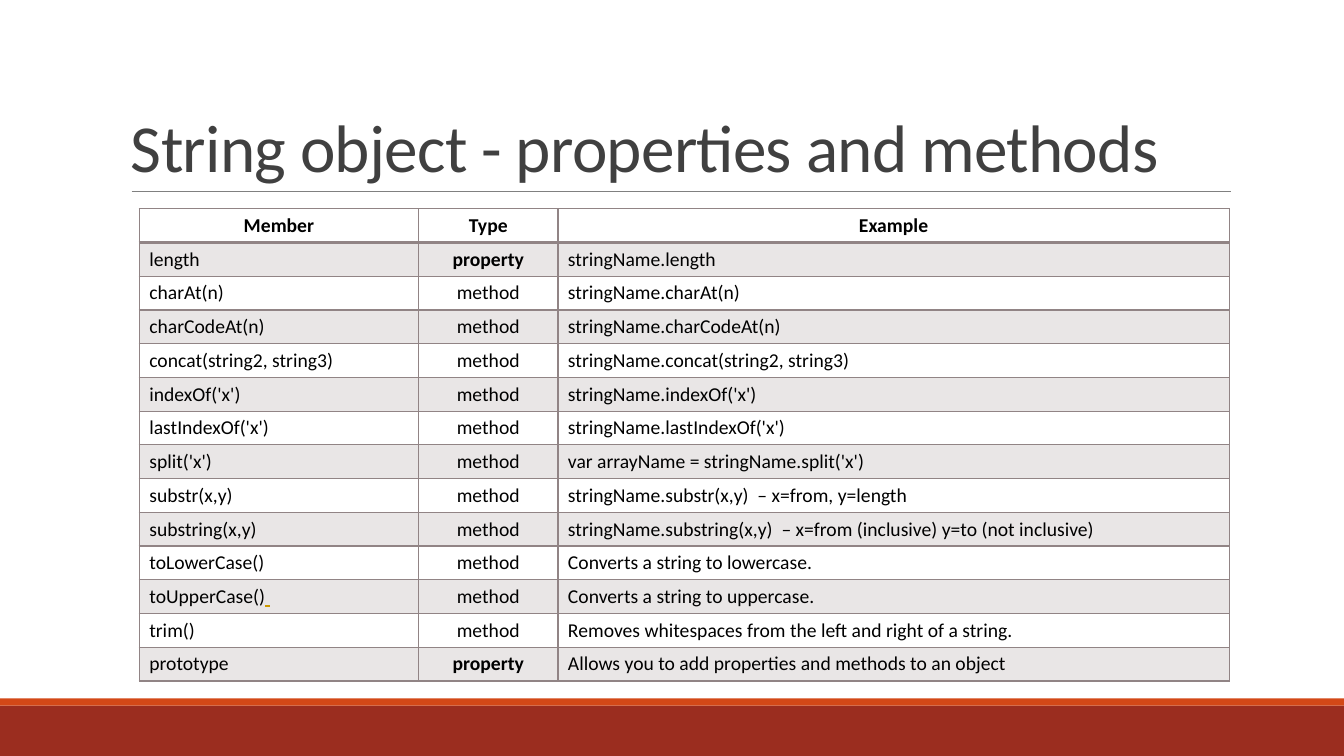
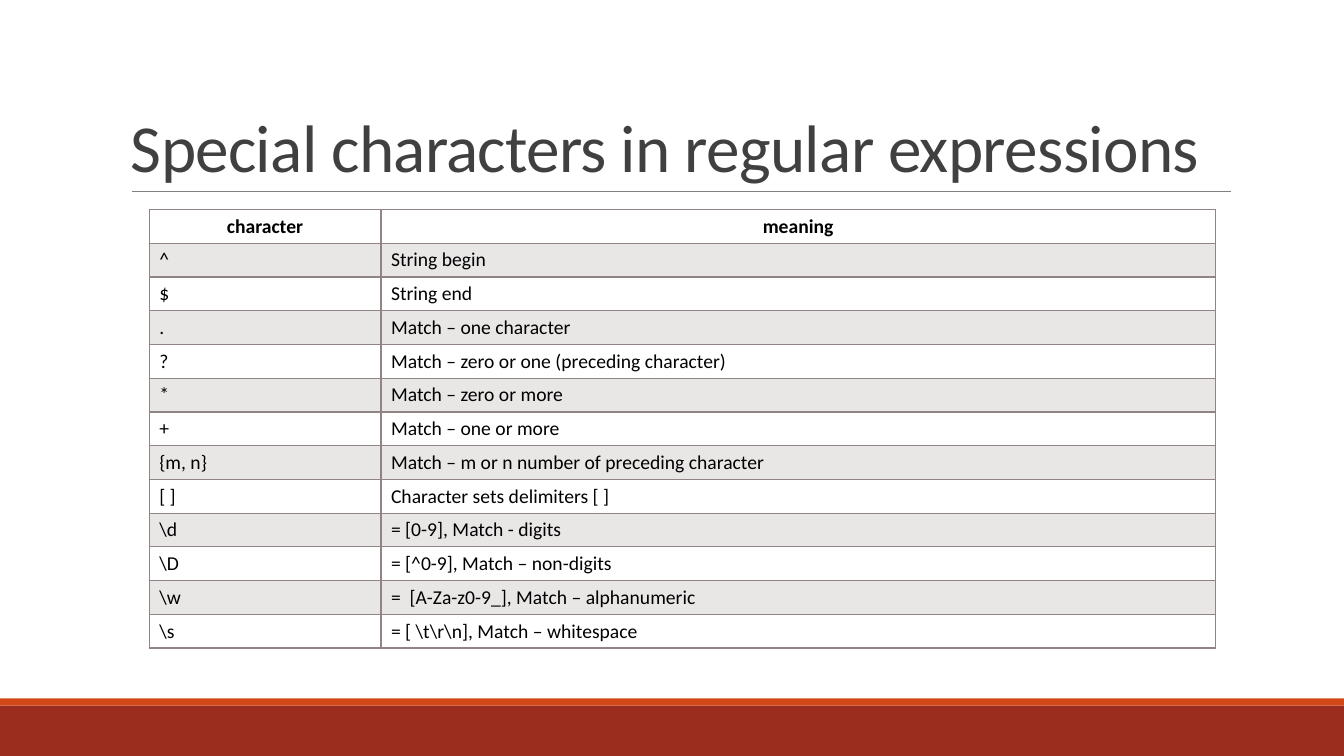
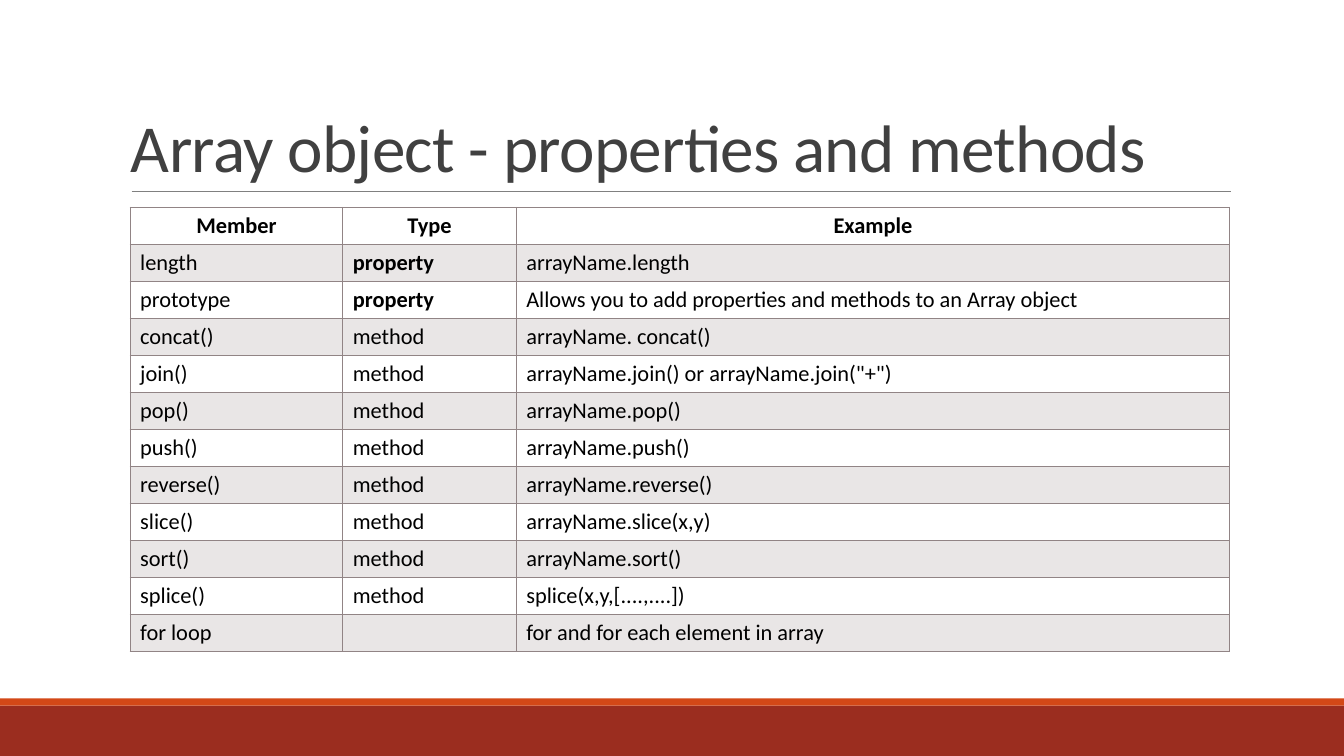
"""Builds three reference-table slides on JavaScript strings, regular expressions and arrays."""

from dataclasses import dataclass

from lxml import etree
from pptx import Presentation
from pptx.dml.color import RGBColor
from pptx.enum.shapes import MSO_CONNECTOR, MSO_SHAPE
from pptx.enum.text import MSO_ANCHOR, PP_ALIGN
from pptx.oxml.ns import qn
from pptx.slide import Slide
from pptx.table import Table, _Cell
from pptx.text.text import _Paragraph, _Run
from pptx.util import Cm, Pt


@dataclass(frozen=True)
class Theme:
    """Colours, font and type sizes shared by the slides."""

    font: str = "Calibri"
    title: str = "404040"
    text: str = "000000"
    accent: str = "CC9900"
    rule: str = "808080"
    grid: str = "918485"
    footer: str = "9B2D1F"
    footer_edge: str = "D34817"
    stripe_alpha: int = 20000
    title_size: int = 48
    cell_size: int = 14
    large_cell_size: int = 16


@dataclass(frozen=True)
class Band:
    """A full-width bar, in centimetres."""

    top: float
    height: float
    color: str


@dataclass(frozen=True)
class TableSlide:
    """A titled slide with one table, in centimetres and points."""

    title: str
    left: float
    top: float
    columns: tuple[float, ...]
    row_height: float
    rows: tuple[tuple[str, ...], ...]
    size: int
    centered_column: int | None = None
    header_rule: float = 1


THEME = Theme()
WIDTH, HEIGHT = 33.87, 19.05
BANDS = (Band(17.78, 1.27, THEME.footer), Band(17.6, 0.18, THEME.footer_edge))

STRING_SLIDE = TableSlide(
    "String object - properties and methods", 3.51, 5.26, (7.04, 3.51, 16.92), 0.85,
    (
        ("Member", "Type", "Example"),
        ("length", "property", "stringName.length"),
        ("charAt(n)", "method", "stringName.charAt(n)"),
        ("charCodeAt(n)", "method", "stringName.charCodeAt(n)"),
        ("concat(string2, string3)", "method", "stringName.concat(string2, string3)"),
        ("indexOf('x')", "method", "stringName.indexOf('x')"),
        ("lastIndexOf('x')", "method", "stringName.lastIndexOf('x')"),
        ("split('x')", "method", "var arrayName = stringName.split('x')"),
        ("substr(x,y)", "method", "stringName.substr(x,y)  – x=from, y=length"),
        ("substring(x,y)", "method",
         "stringName.substring(x,y)  – x=from (inclusive) y=to (not inclusive)"),
        ("toLowerCase()", "method", "Converts a string to lowercase."),
        ("toUpperCase()", "method", "Converts a string to uppercase."),
        ("trim()", "method", "Removes whitespaces from the left and right of a string."),
        ("prototype", "property", "Allows you to add properties and methods to an object"),
    ),
    THEME.cell_size, centered_column=1, header_rule=2,
)

REGEX_SLIDE = TableSlide(
    "Special characters in regular expressions", 3.76, 5.28, (5.84, 21.03), 0.85,
    (
        ("character", "meaning"),
        ("^", "String begin"),
        ("$", "String end"),
        (".", "Match – one character"),
        ("?", "Match – zero or one (preceding character)"),
        ("*", "Match – zero or more"),
        ("+", "Match – one or more"),
        ("{m, n}", "Match – m or n number of preceding character"),
        ("[ ]", "Character sets delimiters [ ]"),
        ("\\d", "= [0-9], Match - digits"),
        ("\\D", "= [^0-9], Match – non-digits"),
        ("\\w", "= \u00a0[A-Za-z0-9_], Match – alphanumeric"),
        ("\\s", "= [ \\t\\r\\n], Match – whitespace"),
    ),
    THEME.cell_size,
)

ARRAY_SLIDE = TableSlide(
    "Array object - properties and methods", 3.28, 5.23, (5.36, 4.37, 17.98), 0.93,
    (
        ("Member", "Type", "Example"),
        ("length", "property", "arrayName.length"),
        ("prototype", "property", "Allows you to add properties and methods to an Array object"),
        ("concat()", "method", "arrayName. concat()"),
        ("join()", "method", 'arrayName.join() or arrayName.join("+")'),
        ("pop()", "method", "arrayName.pop()"),
        ("push()", "method", "arrayName.push()"),
        ("reverse()", "method", "arrayName.reverse()"),
        ("slice()", "method", "arrayName.slice(x,y)"),
        ("sort()", "method", "arrayName.sort()"),
        ("splice()", "method", "splice(x,y,[....,....])"),
        ("for loop", "", "for and for each element in array"),
    ),
    THEME.large_cell_size,
)


def rgb(color: str) -> RGBColor:
    """Turn a hex string into a colour."""
    return RGBColor.from_string(color)


def write(paragraph: _Paragraph, text: str, size: int, color: str, bold: bool = False) -> _Run:
    """Append a styled run to a paragraph."""
    run = paragraph.add_run()
    run.text = text
    run.font.name = THEME.font
    run.font.size = Pt(size)
    run.font.bold = bold
    run.font.color.rgb = rgb(color)
    return run


def draw_frame(slide: Slide) -> None:
    """Draw the footer bands and the rule under the title."""
    for band in BANDS:
        bar = slide.shapes.add_shape(
            MSO_SHAPE.RECTANGLE, 0, Cm(band.top), Cm(WIDTH), Cm(band.height))
        bar.shadow.inherit = False
        bar.fill.solid()
        bar.fill.fore_color.rgb = rgb(band.color)
        bar.line.fill.background()
    rule = slide.shapes.add_connector(
        MSO_CONNECTOR.STRAIGHT, Cm(3.32), Cm(4.83), Cm(31.01), Cm(4.83))
    rule.line.color.rgb = rgb(THEME.rule)
    rule.line.width = Pt(0.5)
    etree.SubElement(rule._element.spPr, qn("a:effectLst"))


def draw_title(slide: Slide, text: str) -> None:
    """Write the slide title above the rule."""
    frame = slide.shapes.add_textbox(Cm(3.05), Cm(0.79), Cm(27.94), Cm(4.04)).text_frame
    frame.word_wrap = True
    frame.vertical_anchor = MSO_ANCHOR.BOTTOM
    paragraph = frame.paragraphs[0]
    paragraph.line_spacing = 0.85
    run = write(paragraph, text, THEME.title_size, THEME.title)
    run.font._element.set("spc", "-50")


def set_borders(cell: _Cell, top: float, bottom: float) -> None:
    """Give a cell grid lines of the stated top and bottom widths."""
    properties = cell._tc.get_or_add_tcPr()
    for tag, width in (("lnL", 1), ("lnR", 1), ("lnT", top), ("lnB", bottom)):
        line = etree.SubElement(properties, qn(f"a:{tag}"), w=str(Pt(width)))
        fill = etree.SubElement(line, qn("a:solidFill"))
        etree.SubElement(fill, qn("a:srgbClr"), val=THEME.grid)


def set_stripe(cell: _Cell, striped: bool) -> None:
    """Fill a cell with the translucent stripe, or leave it clear."""
    if not striped:
        cell.fill.background()
        return
    cell.fill.solid()
    cell.fill.fore_color.rgb = rgb(THEME.grid)
    color = cell._tc.tcPr.find(qn("a:solidFill")).find(qn("a:srgbClr"))
    etree.SubElement(color, qn("a:alpha"), val=str(THEME.stripe_alpha))


def draw_table(slide: Slide, spec: TableSlide) -> Table:
    """Draw the table with a bold header and alternate stripes."""
    table = slide.shapes.add_table(
        len(spec.rows), len(spec.columns), Cm(spec.left), Cm(spec.top),
        Cm(sum(spec.columns)), Cm(spec.row_height * len(spec.rows))).table
    table.first_row = table.horz_banding = False
    for column, width in zip(table.columns, spec.columns):
        column.width = Cm(width)
    for r, texts in enumerate(spec.rows):
        table.rows[r].height = Cm(spec.row_height)
        for c, text in enumerate(texts):
            cell = table.cell(r, c)
            set_borders(cell, spec.header_rule if r == 1 else 1, spec.header_rule if r == 0 else 1)
            set_stripe(cell, r % 2 == 1)
            if r > 0 and 0 < c and len(texts) == 3:
                cell.vertical_anchor = MSO_ANCHOR.MIDDLE
            paragraph = cell.text_frame.paragraphs[0]
            if r == 0 or c == spec.centered_column:
                paragraph.alignment = PP_ALIGN.CENTER
            if text:
                write(paragraph, text, spec.size, THEME.text, r == 0 or text == "property")
            else:
                etree.SubElement(paragraph._p, qn("a:endParaRPr"), sz=str(spec.size * 100))
    return table


def add_table_slide(deck: Presentation, spec: TableSlide) -> Table:
    """Add a complete slide and return its table."""
    slide = deck.slides.add_slide(deck.slide_layouts[6])
    draw_frame(slide)
    draw_title(slide, spec.title)
    return draw_table(slide, spec)


def main() -> None:
    """Build and save the deck."""
    deck = Presentation()
    deck.slide_width, deck.slide_height = Cm(WIDTH), Cm(HEIGHT)
    string_table = add_table_slide(deck, STRING_SLIDE)
    upper_case = string_table.cell(11, 0).text_frame.paragraphs[0]
    write(upper_case, " ", THEME.cell_size, THEME.accent).font.underline = True
    add_table_slide(deck, REGEX_SLIDE)
    add_table_slide(deck, ARRAY_SLIDE)
    deck.save("out.pptx")


main()
